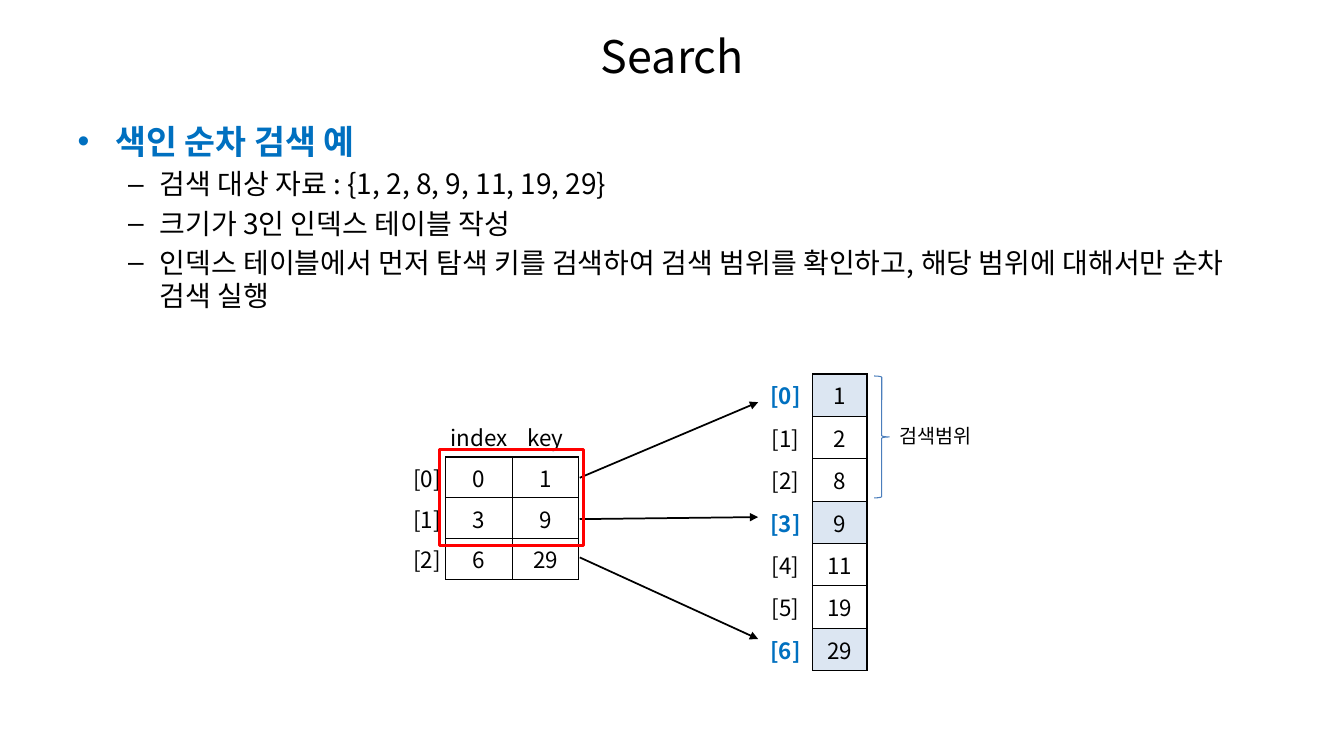
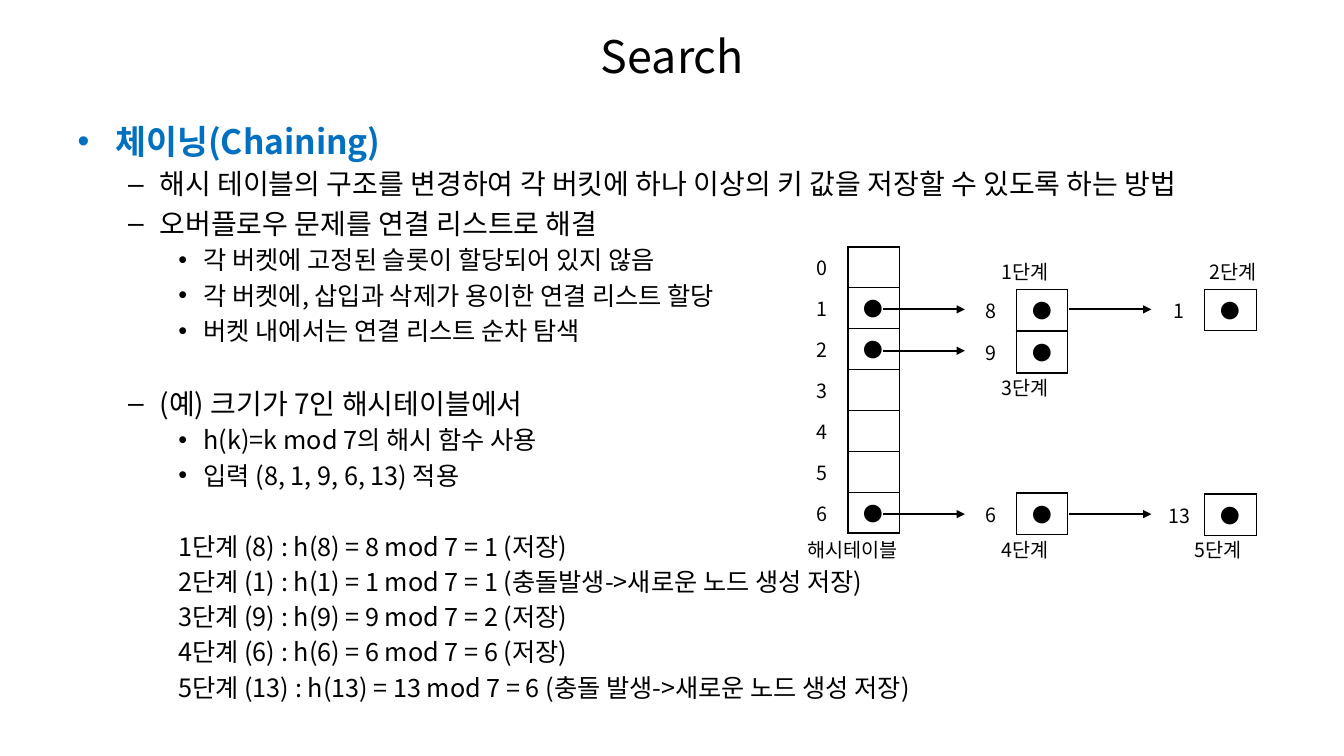
from dataclasses import dataclass
from typing import NamedTuple

from pptx import Presentation
from pptx.dml.color import RGBColor
from pptx.enum.shapes import MSO_CONNECTOR, MSO_SHAPE
from pptx.enum.text import MSO_ANCHOR, MSO_AUTO_SIZE, PP_ALIGN
from pptx.oxml.ns import qn
from pptx.slide import Slide
from pptx.text.text import TextFrame
from pptx.util import Inches, Pt
from lxml.etree import SubElement

FONT = "Noto Sans CJK KR"
BLACK = RGBColor(0, 0, 0)
WHITE = RGBColor(255, 255, 255)
BLUE = RGBColor(0x00, 0x70, 0xC0)
PALE = RGBColor(0xDC, 0xE6, 0xF2)
STEEL = RGBColor(0x4B, 0x7E, 0xBC)
RED = RGBColor(255, 0, 0)
SIZES = (24, 20, 18)
BLANK = 29


class Item(NamedTuple):
    text: str
    level: int = 1
    gap: int = 0
    plain: bool = False


class Arrow(NamedTuple):
    x1: float
    y1: float
    x2: float
    y2: float


class Label(NamedTuple):
    text: str
    x: float
    y: float
    width: float = 1.2
    align: PP_ALIGN = PP_ALIGN.CENTER


@dataclass
class Grid:
    x: float
    y: float
    cols: tuple[float, ...]
    height: float
    rows: list[tuple[str, ...]]
    size: int = 14
    head: bool = False
    tight: bool = False
    hot: tuple[int, ...] = ()


def write(frame: TextFrame, text: str, size: int, align: PP_ALIGN | None = None,
          color: RGBColor = BLACK, bold: bool = False, fresh: bool = False):
    para = frame.add_paragraph() if fresh else frame.paragraphs[0]
    para.alignment = align
    run = para.add_run()
    run.text = text
    font = run.font
    font.name, font.size, font.bold = FONT, Pt(size), bold
    font.color.rgb = color
    return para


def place(shape, x: float, y: float, width: float, height: float) -> None:
    shape.left, shape.top = Inches(x), Inches(y)
    shape.width, shape.height = Inches(width), Inches(height)


def start(deck, items: list[Item], width: float = 12) -> Slide:
    slide = deck.slides.add_slide(deck.slide_layouts[1])
    title, body = slide.placeholders
    place(title, 0.67, 0.13, 12, 0.85)
    write(title.text_frame, "Search", 32, PP_ALIGN.CENTER)
    place(body, 0.67, 1.15, width, 5.67)
    frame = body.text_frame
    frame.auto_size = MSO_AUTO_SIZE.NONE
    for pos, item in enumerate(items):
        top = item.level == 0
        para = write(frame, item.text, SIZES[item.level], None,
                     BLUE if top else BLACK, top, pos > 0)
        para.level = item.level
        if item.gap:
            para.space_before = Pt(item.gap)
        if item.plain:
            props = para._p.get_or_add_pPr()
            props.set("marL", str(Inches(1)))
            props.set("indent", "0")
            SubElement(props, qn("a:buNone"))
    return slide


def edge(cell, sides: str) -> None:
    props = cell._tc.get_or_add_tcPr()
    for side in "LRTB":
        line = SubElement(props, qn(f"a:ln{side}"), w=str(Pt(1)))
        if side in sides:
            fill = SubElement(line, qn("a:solidFill"))
            SubElement(fill, qn("a:srgbClr"), val=str(BLACK))
        else:
            SubElement(line, qn("a:noFill"))


def draw_grid(slide: Slide, grid: Grid) -> None:
    table = slide.shapes.add_table(
        len(grid.rows), len(grid.cols), Inches(grid.x), Inches(grid.y),
        Inches(sum(grid.cols)), Inches(grid.height)).table
    table.first_row = table.horz_banding = False
    props = table._tbl.tblPr
    props.remove(props.find(qn("a:tableStyleId")))
    for col, width in zip(table.columns, grid.cols):
        col.width = Inches(width)
    for row, texts in enumerate(grid.rows):
        top, hot = grid.head and row == 0, row in grid.hot
        for col, text in enumerate(texts):
            cell = table.cell(row, col)
            if col == 0:
                edge(cell, "" if top else "R")
            else:
                edge(cell, "B" if top else "LRTB")
            cell.fill.solid()
            cell.fill.fore_color.rgb = PALE if hot and col else WHITE
            cell.vertical_anchor = MSO_ANCHOR.MIDDLE
            if grid.tight:
                cell.margin_left = cell.margin_right = 0
                cell.margin_top = cell.margin_bottom = 0
            if text:
                key = hot and col == 0
                write(cell.text_frame, text, grid.size, PP_ALIGN.CENTER,
                      BLUE if key else BLACK, key)


def draw_arrow(slide: Slide, arrow: Arrow, width: float) -> None:
    link = slide.shapes.add_connector(
        MSO_CONNECTOR.STRAIGHT, *(Inches(value) for value in arrow))
    link.line.color.rgb = BLACK
    link.line.width = Pt(width)
    SubElement(link.line._get_or_add_ln(), qn("a:tailEnd"), type="triangle")
    SubElement(link._element.spPr, qn("a:effectLst"))


def draw_label(slide: Slide, label: Label) -> None:
    box = slide.shapes.add_textbox(Inches(label.x), Inches(label.y),
                                   Inches(label.width), Inches(0.34))
    frame = box.text_frame
    frame.word_wrap = True
    frame.auto_size = MSO_AUTO_SIZE.SHAPE_TO_FIT_TEXT
    write(frame, label.text, 14, label.align)


def outline(slide: Slide, kind: MSO_SHAPE, x: float, y: float, width: float,
            height: float, color: RGBColor, weight: float) -> None:
    shape = slide.shapes.add_shape(kind, Inches(x), Inches(y),
                                   Inches(width), Inches(height))
    shape.shadow.inherit = False
    shape.fill.background()
    shape.line.color.rgb = color
    shape.line.width = Pt(weight)


def index_slide(deck) -> None:
    slide = start(deck, [
        Item("색인 순차 검색 예", 0),
        Item("검색 대상 자료 : {1, 2, 8, 9, 11, 19, 29}"),
        Item("크기가 3인 인덱스 테이블 작성"),
        Item("인덱스 테이블에서 먼저 탐색 키를 검색하여 검색 범위를 확인하고, "
             "해당 범위에 대해서만 순차 검색 실행"),
    ])
    data = (1, 2, 8, 9, 11, 19, 29)
    pairs = ((0, 1), (3, 9), (6, 29))
    draw_grid(slide, Grid(
        4.05, 4.13, (0.37, 0.66, 0.66), 1.62,
        [("", "index", "key")]
        + [(f"[{pos}]", str(spot), str(key)) for pos, (spot, key) in enumerate(pairs)],
        16, head=True, tight=True))
    draw_grid(slide, Grid(
        7.52, 3.71, (0.54, 0.54), 2.84,
        [(f"[{pos}]", str(key)) for pos, key in enumerate(data)],
        16, hot=tuple(spot for spot, _ in pairs)))
    for y1, y2 in ((4.74, 3.99), (5.15, 5.13), (5.53, 6.34)):
        draw_arrow(slide, Arrow(5.75, y1, 7.52, y2), 1.25)
    outline(slide, MSO_SHAPE.RIGHT_BRACE, 8.67, 3.73, 0.15, 1.21, STEEL, 0.75)
    draw_label(slide, Label("검색범위", 8.82, 4.16, 1, PP_ALIGN.LEFT))
    outline(slide, MSO_SHAPE.RECTANGLE, 4.36, 4.46, 1.43, 0.95, RED, 2)


def chain_slide(deck) -> None:
    clash = "충돌{}발생->새로운 노드 생성 저장"
    steps = ((8, "저장"), (1, clash.format("")), (9, "저장"),
             (6, "저장"), (13, clash.format(" ")))
    slide = start(deck, [
        Item("체이닝(Chaining)", 0),
        Item("해시 테이블의 구조를 변경하여 각 버킷에 하나 이상의 키 값을 "
             "저장할 수 있도록 하는 방법"),
        Item("오버플로우 문제를 연결 리스트로 해결"),
        Item("각 버켓에 고정된 슬롯이 할당되어 있지 않음", 2),
        Item("각 버켓에, 삽입과 삭제가 용이한 연결 리스트 할당", 2),
        Item("버켓 내에서는 연결 리스트 순차 탐색", 2),
        Item("(예) 크기가 7인 해시테이블에서", 1, BLANK),
        Item("h(k)=k mod 7의 해시 함수 사용", 2),
        Item("입력 (8, 1, 9, 6, 13) 적용", 2),
    ] + [
        Item(f"{num}단계 ({key}) : h({key}) = {key} mod 7 = {key % 7} ({note})",
             2, BLANK if num == 1 else 0, True)
        for num, (key, note) in enumerate(steps, 1)
    ], 12.3)
    cols = (0.51, 0.51)
    draw_grid(slide, Grid(
        7.9, 2.45, cols, 2.84,
        [(str(pos), "●" if pos in (1, 2, 6) else "") for pos in range(7)]))
    near, far = 9.57, 11.44
    for key, x, y in ((8, near, 2.87), (1, far, 2.87), (9, near, 3.29),
                      (6, near, 4.89), (13, far, 4.9)):
        draw_grid(slide, Grid(x, y, cols, 0.41, [(str(key), "●")]))
    for x1, x2, y in ((8.76, 9.57, 3.07), (8.76, 9.57, 3.48), (8.76, 9.57, 5.1),
                      (10.6, 11.42, 5.1), (10.6, 11.42, 3.07)):
        draw_arrow(slide, Arrow(x1, y, x2, y), 1.5)
    for label in (Label("해시테이블", 7.86, 5.29), Label("1단계", near, 2.53),
                  Label("2단계", 11.63, 2.53), Label("3단계", near, 3.68),
                  Label("4단계", near, 5.29), Label("5단계", 11.48, 5.29)):
        draw_label(slide, label)


def main() -> None:
    deck = Presentation()
    deck.slide_width, deck.slide_height = Inches(13.33), Inches(7.5)
    index_slide(deck)
    chain_slide(deck)
    deck.save("out.pptx")


if __name__ == "__main__":
    main()
